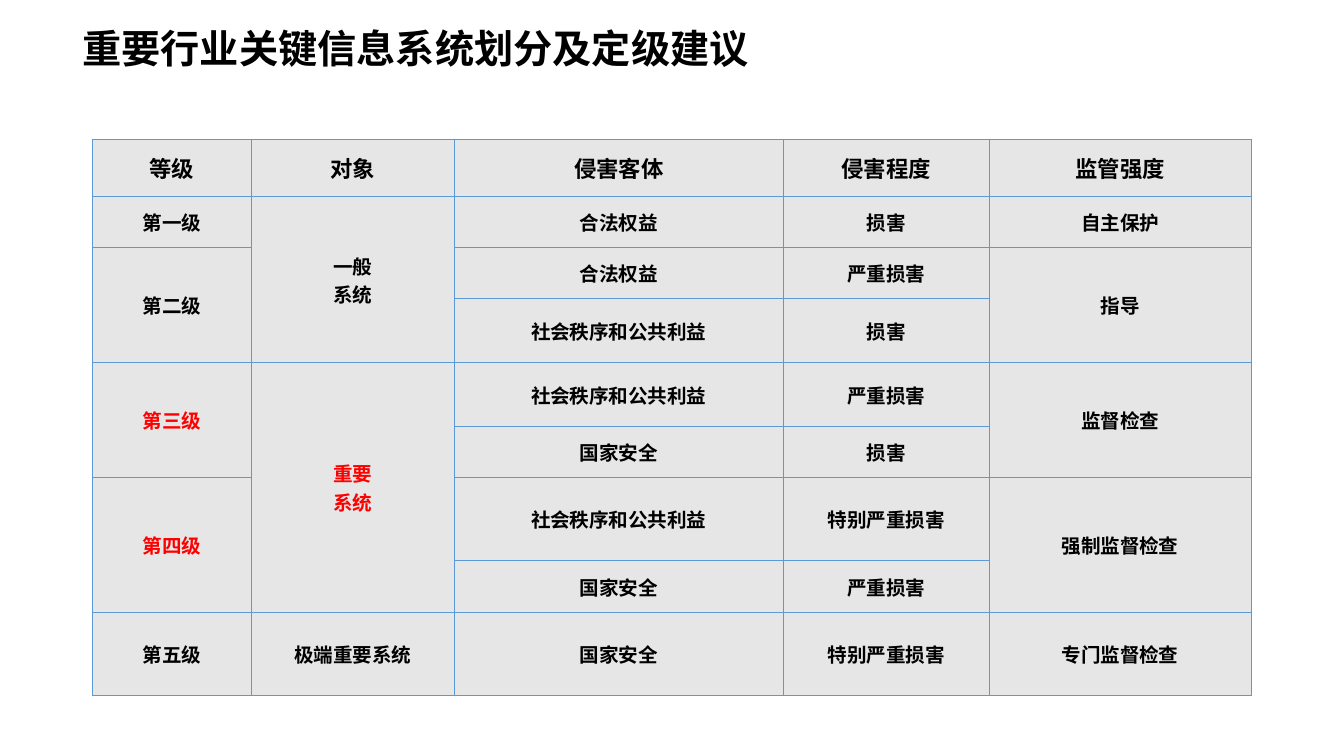
from dataclasses import dataclass

from lxml import etree
from pptx import Presentation
from pptx import util as u
from pptx.dml.color import RGBColor
from pptx.enum import text
from pptx.oxml import ns


@dataclass(frozen=True)
class Theme:
    ink: str = "000000"
    alert: str = "FF0000"
    cell: str = "E7E6E6"
    border: str = "5B9BD5"
    border_width: float = 0.5
    title_size: float = 21
    header_size: float = 12
    body_size: float = 10.5
    title_font: str = "Montserrat"
    body_font: str = "Noto Sans CJK SC"


COLUMN_WIDTHS = [85.2, 108.7, 176.3, 110.3, 140.3]
ROW_HEIGHTS = [30.5, 27.4, 27.4, 34.3, 34.3, 27.4, 44.5, 27.6, 44.5]
LEVELS = [
    ["等级", "对象", "侵害客体", "侵害程度", "监管强度"],
    ["第一级", "一般\n系统", "合法权益", "损害", "自主保护"],
    ["第二级", None, "合法权益", "严重损害", "指导"],
    [None, None, "社会秩序和公共利益", "损害", None],
    ["第三级", "重要\n系统", "社会秩序和公共利益", "严重损害", "监督检查"],
    [None, None, "国家安全", "损害", None],
    ["第四级", None, "社会秩序和公共利益", "特别严重损害", "强制监督检查"],
    [None, None, "国家安全", "严重损害", None],
    ["第五级", "极端重要系统", "国家安全", "特别严重损害", "专门监督检查"],
]
ALERT_LABELS = {"第三级", "第四级", "重要\n系统"}


def apply(target, values):
    for name, value in values.items():
        setattr(target, name, value)


class SlideBuilder:
    def __init__(self, slide, theme):
        self.slide = slide
        self.theme = theme

    def fill_text(self, frame, content, size, color, font, layout):
        for index, line in enumerate(content.split("\n")):
            paragraph = frame.paragraphs[0] if index == 0 else frame.add_paragraph()
            apply(paragraph, layout)
            run = paragraph.add_run()
            run.text = line
            apply(run.font, {"name": font, "size": u.Pt(size), "bold": True})
            run.font.color.rgb = RGBColor.from_string(color)
            east_asian = etree.SubElement(run.font._element, ns.qn("a:ea"))
            east_asian.set("typeface", self.theme.body_font)

    def title(self, content, left, top, width, height):
        box = self.slide.shapes.add_textbox(*map(u.Pt, (left, top, width, height)))
        apply(box.text_frame, {"word_wrap": True,
                               "vertical_anchor": text.MSO_ANCHOR.MIDDLE})
        self.fill_text(box.text_frame, content, self.theme.title_size, self.theme.ink,
                       self.theme.title_font, {"line_spacing": 0.9})

    def borders(self, cell):
        properties = cell._tc.get_or_add_tcPr()
        for position, side in enumerate(("a:lnL", "a:lnR", "a:lnT", "a:lnB")):
            line = etree.Element(ns.qn(side), w=str(u.Pt(self.theme.border_width)))
            fill = etree.SubElement(line, ns.qn("a:solidFill"))
            etree.SubElement(fill, ns.qn("a:srgbClr"), val=self.theme.border)
            properties.insert(position, line)

    def cell(self, cell, content, size, color):
        cell.fill.solid()
        cell.fill.fore_color.rgb = RGBColor.from_string(self.theme.cell)
        self.borders(cell)
        cell.vertical_anchor = text.MSO_ANCHOR.MIDDLE
        if content:
            self.fill_text(cell.text_frame, content, size, color, self.theme.body_font,
                           {"alignment": text.PP_ALIGN.CENTER})

    def table(self, rows, widths, heights, left, top):
        theme = self.theme
        frame = self.slide.shapes.add_table(
            len(rows), len(widths),
            *map(u.Pt, (left, top, sum(widths), sum(heights))))
        table = frame.table
        apply(table, {"first_row": False, "horz_banding": False})
        for column, width in zip(table.columns, widths):
            column.width = u.Pt(width)
        for row, height in zip(table.rows, heights):
            row.height = u.Pt(height)
        for r, values in enumerate(rows):
            size = theme.body_size if r else theme.header_size
            for c, content in enumerate(values):
                color = theme.alert if content in ALERT_LABELS else theme.ink
                self.cell(table.cell(r, c), content, size, color)
                last = r
                while content and last + 1 < len(rows) and rows[last + 1][c] is None:
                    last += 1
                if last > r:
                    table.cell(r, c).merge(table.cell(last, c))


def main():
    presentation = Presentation()
    apply(presentation, {"slide_width": u.Pt(720), "slide_height": u.Pt(405)})
    slide = presentation.slides.add_slide(presentation.slide_layouts[6])
    builder = SlideBuilder(slide, Theme())
    builder.title("重要行业关键信息系统划分及定级建议", 37, 0.7, 604, 52.6)
    builder.table(LEVELS, COLUMN_WIDTHS, ROW_HEIGHTS, 49.5, 74.8)
    presentation.save("out.pptx")


if __name__ == "__main__":
    main()
